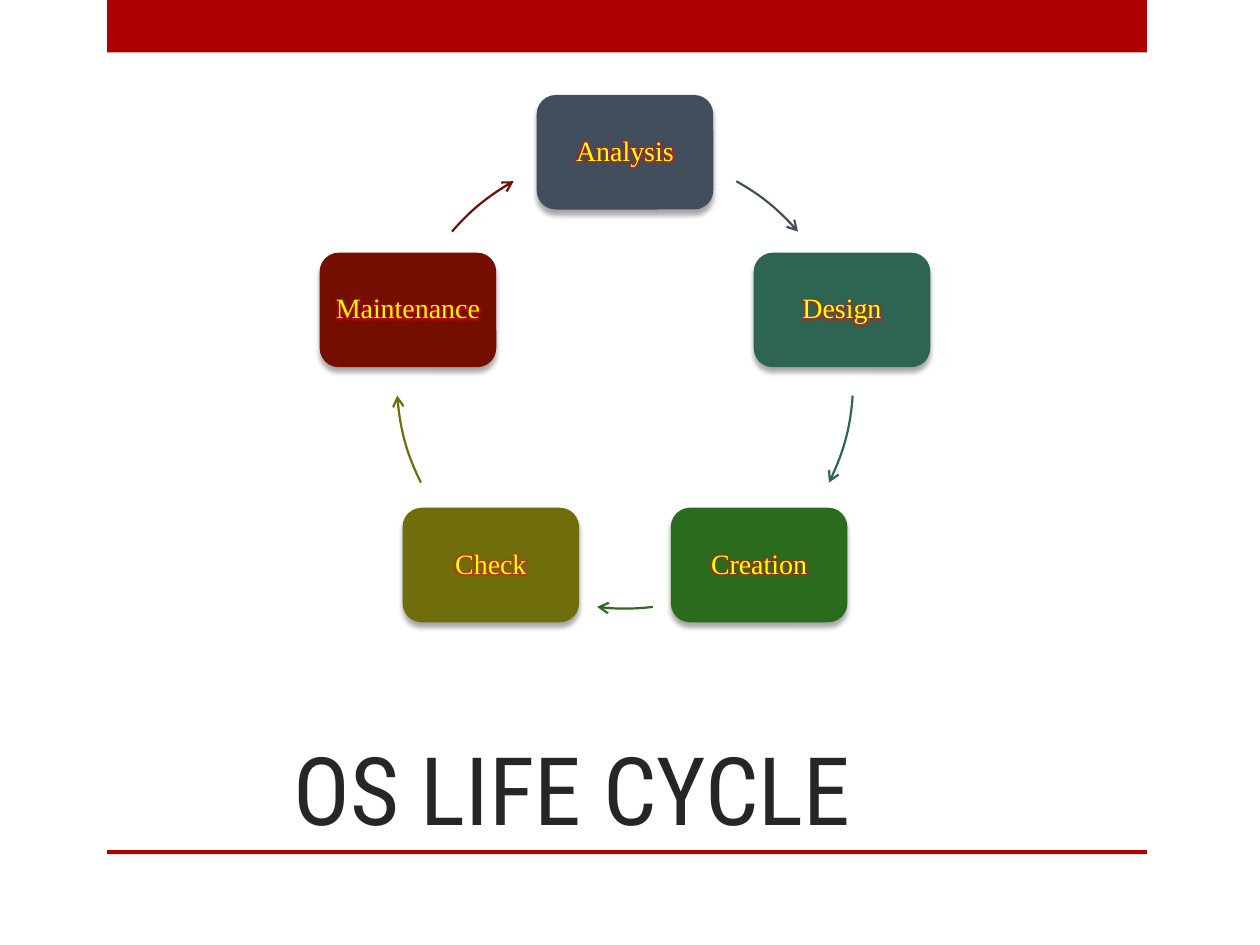
from math import cos, radians, sin

from lxml import etree
from pptx import Presentation
from pptx.dml.color import RGBColor
from pptx.enum.shapes import MSO_SHAPE
from pptx.enum.text import MSO_ANCHOR, MSO_AUTO_SIZE, PP_ALIGN
from pptx.oxml import parse_xml
from pptx.oxml.ns import nsdecls, qn
from pptx.util import Cm, Pt

RECTANGLE = MSO_SHAPE.RECTANGLE
ROUNDED_RECTANGLE = MSO_SHAPE.ROUNDED_RECTANGLE
ARC = MSO_SHAPE.ARC
CENTER = PP_ALIGN.CENTER
MIDDLE = MSO_ANCHOR.MIDDLE
BOTTOM = MSO_ANCHOR.BOTTOM
NO_AUTOFIT = MSO_AUTO_SIZE.NONE

RED = RGBColor(0xAD, 0x01, 0x01)
DARK_GRAY = RGBColor(0x26, 0x26, 0x26)
YELLOW = RGBColor(0xFF, 0xFF, 0x00)
SLATE = RGBColor(0x42, 0x4E, 0x5B)
TEAL = RGBColor(0x2E, 0x64, 0x52)
GREEN = RGBColor(0x2B, 0x6B, 0x1D)
OLIVE = RGBColor(0x70, 0x6D, 0x0D)
MAROON = RGBColor(0x73, 0x0E, 0x00)

SHADOW = (
    f'<a:effectLst {nsdecls("a")}><a:outerShdw blurRad="38100" dist="38100" '
    'dir="5400000" rotWithShape="0"><a:srgbClr val="000000">'
    '<a:alpha val="35000"/></a:srgbClr></a:outerShdw></a:effectLst>'
)
GLOW = (
    f'<a:effectLst {nsdecls("a")}><a:glow rad="63500"><a:srgbClr val="FF0000">'
    '<a:alpha val="40000"/></a:srgbClr></a:glow></a:effectLst>'
)

presentation = Presentation()
presentation.slide_width = Cm(25.4)
presentation.slide_height = Cm(19.05)
slide = presentation.slides.add_slide(presentation.slide_layouts[5])

for top, height in ((0, 1.06), (17.14, 0.08)):
    bar = slide.shapes.add_shape(RECTANGLE, Cm(2.16), Cm(top), Cm(20.96), Cm(height))
    bar.shadow.inherit = False
    bar.fill.solid()
    bar.fill.fore_color.rgb = RED
    bar.line.fill.background()

title = slide.shapes.title
title.left, title.top = Cm(2.11), Cm(12.7)
title.width, title.height = Cm(18.85), Cm(4.45)
title.text_frame.auto_size = NO_AUTOFIT
title.text_frame.vertical_anchor = BOTTOM
paragraph = title.text_frame.paragraphs[0]
paragraph.alignment = CENTER
run = paragraph.add_run()
run.text = "OS LIFE CYCLE"
run.font.name = "Roboto Condensed"
run.font.size = Pt(54)
run.font.color.rgb = DARK_GRAY

center_x, center_y, radius = 12.6, 7.67, 4.6
box_width, box_height = 3.56, 2.31
stages = [
    ("Analysis", SLATE, 299.2, 319.3),
    ("Design", TEAL, 3.8, 26.6),
    ("Creation", GREEN, 83, 97),
    ("Check", OLIVE, 153.4, 176.2),
    ("Maintenance", MAROON, 220.7, 240.8),
]

for index, (name, color, start, end) in enumerate(stages):
    angle = radians(index * 360 / len(stages) - 90)
    left = center_x + radius * cos(angle) - box_width / 2
    top = center_y + radius * sin(angle) - box_height / 2
    box = slide.shapes.add_shape(
        ROUNDED_RECTANGLE, Cm(left), Cm(top), Cm(box_width), Cm(box_height)
    )
    box.fill.solid()
    box.fill.fore_color.rgb = color
    box.line.fill.background()
    box._element.spPr.append(parse_xml(SHADOW))

    frame = box.text_frame
    frame.word_wrap = True
    frame.vertical_anchor = MIDDLE
    frame.margin_left = frame.margin_right = Cm(0.18)
    frame.margin_top = frame.margin_bottom = Cm(0.18)
    paragraph = frame.paragraphs[0]
    paragraph.alignment = CENTER
    paragraph.line_spacing = 0.9
    run = paragraph.add_run()
    run.text = name
    run.font.name = "Times New Roman"
    run.font.size = Pt(16)
    run.font.color.rgb = YELLOW
    run._r.rPr.find(qn("a:solidFill")).addnext(parse_xml(GLOW))

    arrow = slide.shapes.add_shape(
        ARC, Cm(center_x - radius), Cm(center_y - radius), Cm(2 * radius), Cm(2 * radius)
    )
    arrow.adjustments[0] = start * 0.6
    arrow.adjustments[1] = end * 0.6
    arrow.shadow.inherit = False
    arrow.fill.background()
    arrow.line.color.rgb = color
    arrow.line.width = Pt(1.25)
    etree.SubElement(arrow.line._get_or_add_ln(), qn("a:tailEnd"), type="arrow")

presentation.save("out.pptx")
